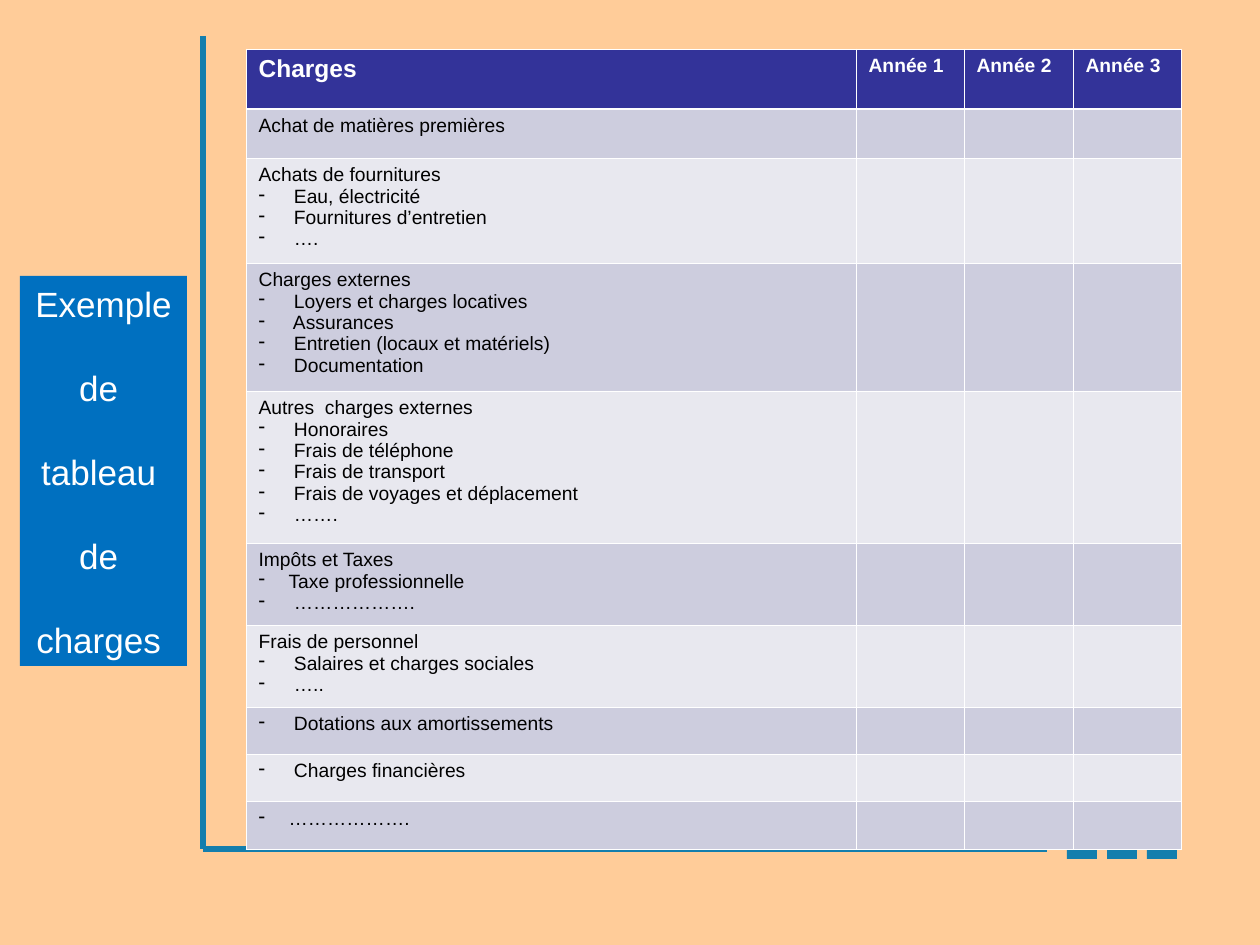
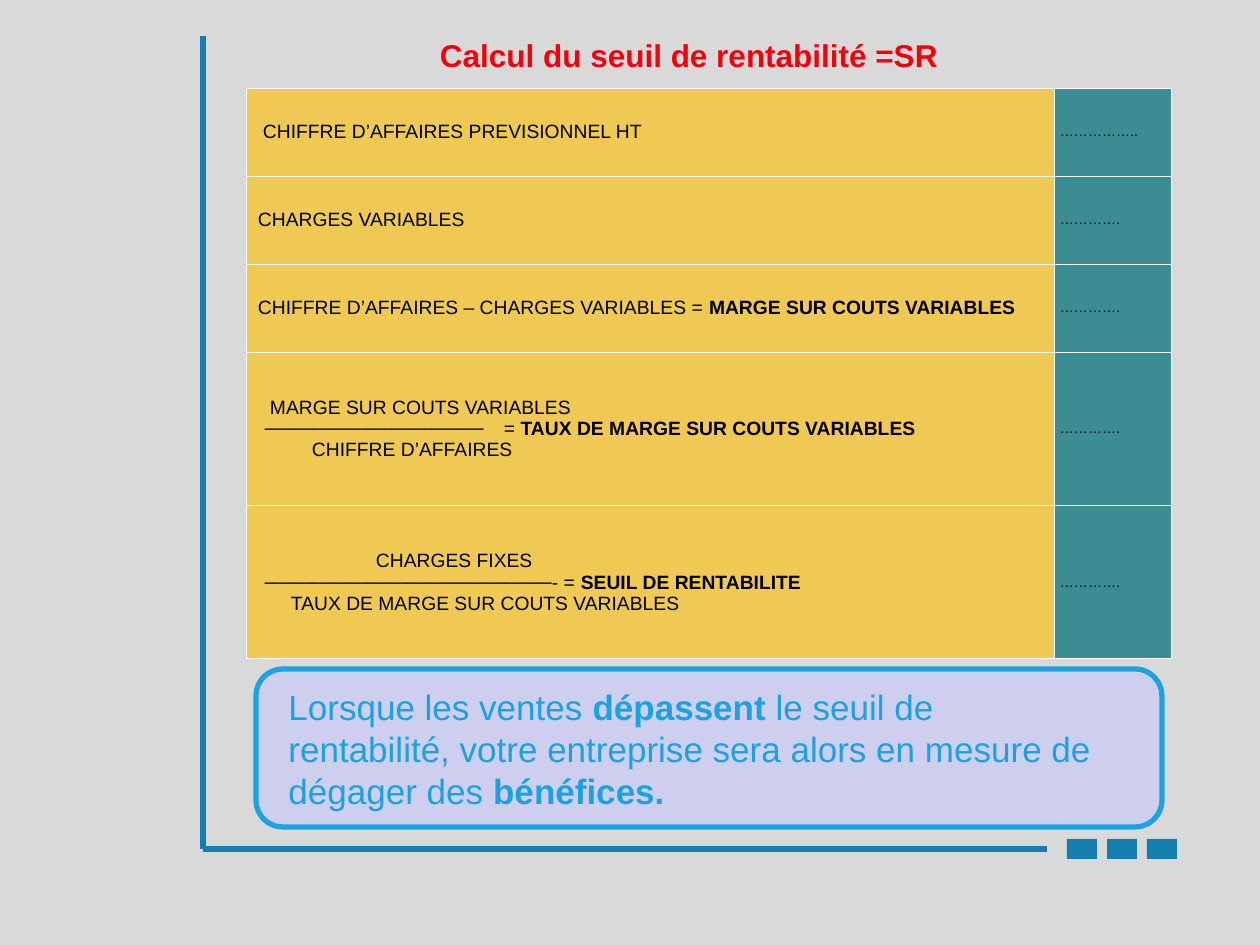
from pptx import Presentation
from pptx import util as u
from pptx.dml.color import RGBColor
from pptx.enum import shapes, text
from pptx.oxml.ns import qn
from lxml import etree

SCALE = 914400 / 126  # EMU in one px
FONT = "Arial"
BLACK, WHITE, RED = "000000", "FFFFFF", "EE040A"
FRAME, PANEL, SKY, LILAC = "147EAD", "0070C0", "1AA3E0", "CECEEF"
HEADER, BANDS = "333399", ("E8E8EF", "CDCDDE")
AMBER, TEAL = "FFC000", "3C8C93"


def px(n):
    return u.Emu(round(n * SCALE))


def rgb(code):
    return RGBColor.from_string(code)


def sub(parent, tag, **attrs):
    return etree.SubElement(parent, qn(tag), {k: str(v) for k, v in attrs.items()})


def write(tf, lines, size=11, color=BLACK, bold=False, align=None, gap=0, tab=None):
    """A line is text or (indent, text); a leading '-' is a bullet, ** marks bold."""
    for i, line in enumerate(lines):
        indent, words = line if isinstance(line, tuple) else (0, line)
        p = tf.paragraphs[0] if i == 0 else tf.add_paragraph()
        p.alignment = align
        if gap and i:
            p.space_before = u.Pt(gap)
        pPr = p._p.get_or_add_pPr()
        if words.startswith("-"):
            words = words[1:]
            pPr.set("marL", str(px(30)))
            indent = -30
            sub(pPr, "a:buChar", char="-")
        if indent:
            pPr.set("indent", str(px(indent)))
        if "\t" in words:
            sub(sub(pPr, "a:tabLst"), "a:tab", pos=px(tab), algn="l")
        for j, part in enumerate(words.split("**")):
            if part:
                r = p.add_run()
                r.text = part
                r.font.name, r.font.size = FONT, u.Pt(size)
                r.font.bold = bold or j % 2 == 1
                r.font.color.rgb = rgb(color)


class Deck:
    def __init__(self):
        self.prs = Presentation()
        self.prs.slide_width, self.prs.slide_height = px(1260), px(945)
        self.s = None

    def slide(self, background):
        self.s = self.prs.slides.add_slide(self.prs.slide_layouts[6])
        fill = self.s.background.fill
        fill.solid()
        fill.fore_color.rgb = rgb(background)
        self.frame()

    def frame(self):
        """The angle and three small blocks shared by all slides."""
        self.line(203, 36, 203, 849)
        self.line(203, 849, 1047, 849)
        for i in range(3):
            self.box(1067 + 40 * i, 839, 30, 20, FRAME)

    def line(self, x1, y1, x2, y2):
        c = self.s.shapes.add_connector(
            shapes.MSO_CONNECTOR.STRAIGHT, px(x1), px(y1), px(x2), px(y2))
        c.line.color.rgb, c.line.width = rgb(FRAME), u.Pt(3)
        sub(c._element.spPr, "a:effectLst")

    def box(self, x, y, w, h, fill, line=None, radius=None, lines=(), **fmt):
        kind = shapes.MSO_SHAPE.ROUNDED_RECTANGLE if radius else shapes.MSO_SHAPE.RECTANGLE
        sp = self.s.shapes.add_shape(kind, px(x), px(y), px(w), px(h))
        sp.shadow.inherit = False
        if radius:
            sp.adjustments[0] = radius
        sp.fill.solid()
        sp.fill.fore_color.rgb = rgb(fill)
        if line:
            sp.line.color.rgb, sp.line.width = rgb(line), u.Pt(3)
        else:
            sp.line.fill.background()
        if lines:
            tf = sp.text_frame
            tf.word_wrap = True
            tf.vertical_anchor = text.MSO_ANCHOR.TOP
            write(tf, lines, **fmt)

    def label(self, x, y, w, h, lines, **fmt):
        tf = self.s.shapes.add_textbox(px(x), px(y), px(w), px(h)).text_frame
        tf.word_wrap = True
        tf.vertical_anchor = text.MSO_ANCHOR.MIDDLE
        write(tf, lines, **fmt)

    def table(self, x, y, widths, heights):
        t = self.s.shapes.add_table(len(heights), len(widths), px(x), px(y),
                                    px(sum(widths)), px(sum(heights))).table
        for col, w in zip(t.columns, widths):
            col.width = px(w)
        for row, h in zip(t.rows, heights):
            row.height = px(h)
        return t

    def cell(self, c, fill, lines=(), alpha=None, inset=None, top=0.45, bottom=0.45, **fmt):
        c.fill.solid()
        c.fill.fore_color.rgb = rgb(fill)
        tcPr = c._tc.get_or_add_tcPr()
        if alpha:
            sub(tcPr.find(".//" + qn("a:srgbClr")), "a:alpha", val=alpha * 1000)
        # Borders come before the fill
        for i, (side, width) in enumerate(
                (("L", 0.45), ("R", 0.45), ("T", top), ("B", bottom))):
            ln = sub(tcPr, "a:ln" + side, w=u.Pt(width))
            sub(sub(ln, "a:solidFill"), "a:srgbClr", val=WHITE)
            tcPr.insert(i, ln)
        if inset:
            c.margin_left = c.margin_right = c.margin_top = c.margin_bottom = px(inset)
            c.vertical_anchor = text.MSO_ANCHOR.MIDDLE
        if lines:
            write(c.text_frame, lines, **fmt)
        else:
            c.margin_top = c.margin_bottom = 0


CHARGES = [
    (49, ["Achat de matières premières"]),
    (105, ["Achats de fournitures", "- Eau, électricité", "- Fournitures d’entretien",
           "- …."]),
    (128, ["Charges externes", "- Loyers et charges locatives", "- Assurances",
           "- Entretien (locaux et matériels)", "- Documentation"]),
    (152, ["Autres  charges externes", "- Honoraires", "- Frais de téléphone",
           "- Frais de transport", "- Frais de voyages et déplacement", "- ……."]),
    (82, ["Impôts et Taxes", "-Taxe professionnelle", "- ………………."]),
    (82, ["Frais de personnel", "- Salaires et charges sociales", "- ….."]),
    (47, ["- Dotations aux amortissements"]),
    (48, ["- Charges financières"]),
    (48, ["-………………."]),
]

STEPS = [
    (88, [(11, "CHIFFRE D’AFFAIRES PREVISIONNEL HT")], "…………….."),
    (88, [(6, "CHARGES VARIABLES")], "…………."),
    (88, [(6, "CHIFFRE D’AFFAIRES – CHARGES VARIABLES = **MARGE SUR COUTS VARIABLES**")],
     "…………."),
    (154, [(18, "MARGE SUR COUTS VARIABLES"),
           (13, "────────────────\t= **TAUX DE MARGE SUR COUTS VARIABLES**"),
           (60, "CHIFFRE D’AFFAIRES")], "…………."),
    (153, [(124, "CHARGES FIXES"),
           (13, "─────────────────────- = **SEUIL DE RENTABILITE**"),
           (39, "TAUX DE MARGE SUR COUTS VARIABLES")], "…………."),
]


def charges_slide(deck):
    deck.slide("FFCC99")
    # Table of charges over three years
    t = deck.table(246, 49, [610, 108, 109, 108], [60] + [h for h, _ in CHARGES])
    for col, name in enumerate(["Charges", "Année 1", "Année 2", "Année 3"]):
        deck.cell(t.cell(0, col), HEADER, [name], bottom=1.47,
                  size=11 if col else 14, color=WHITE, bold=True)
    for row, (_, lines) in enumerate(CHARGES, 1):
        for col in range(4):
            deck.cell(t.cell(row, col), BANDS[row % 2], () if col else lines,
                      top=1.47 if row == 1 else 0.45)
    # Side panel
    deck.box(20, 276, 167, 390, PANEL,
             lines=["Exemple ", "de ", "tableau ", "de ", "charges "],
             size=20, color=WHITE, align=text.PP_ALIGN.CENTER, gap=24)


def break_even_slide(deck):
    deck.slide("D9D9D9")
    # Calculation steps
    t = deck.table(246, 88, [808, 117], [h for h, _, _ in STEPS])
    for row, (_, lines, dots) in enumerate(STEPS):
        deck.cell(t.cell(row, 0), AMBER, lines, alpha=61, inset=6, tab=252)
        deck.cell(t.cell(row, 1), TEAL, [dots], inset=6, size=8)
    # Title
    deck.label(374, 20, 630, 70, ["Calcul du seuil de rentabilité =SR"],
               size=18, color=RED, bold=True, align=text.PP_ALIGN.CENTER)
    # Conclusion
    deck.box(256, 669, 906, 158, LILAC, line=SKY, radius=0.17)
    deck.box(276, 679, 837, 139, LILAC, size=20, color=SKY, align=text.PP_ALIGN.LEFT,
             lines=["Lorsque les ventes **dépassent** le seuil de rentabilité, votre "
                    "entreprise sera alors en mesure de dégager des **bénéfices.**"])


def main():
    deck = Deck()
    charges_slide(deck)
    break_even_slide(deck)
    deck.prs.save("out.pptx")


if __name__ == "__main__":
    main()
